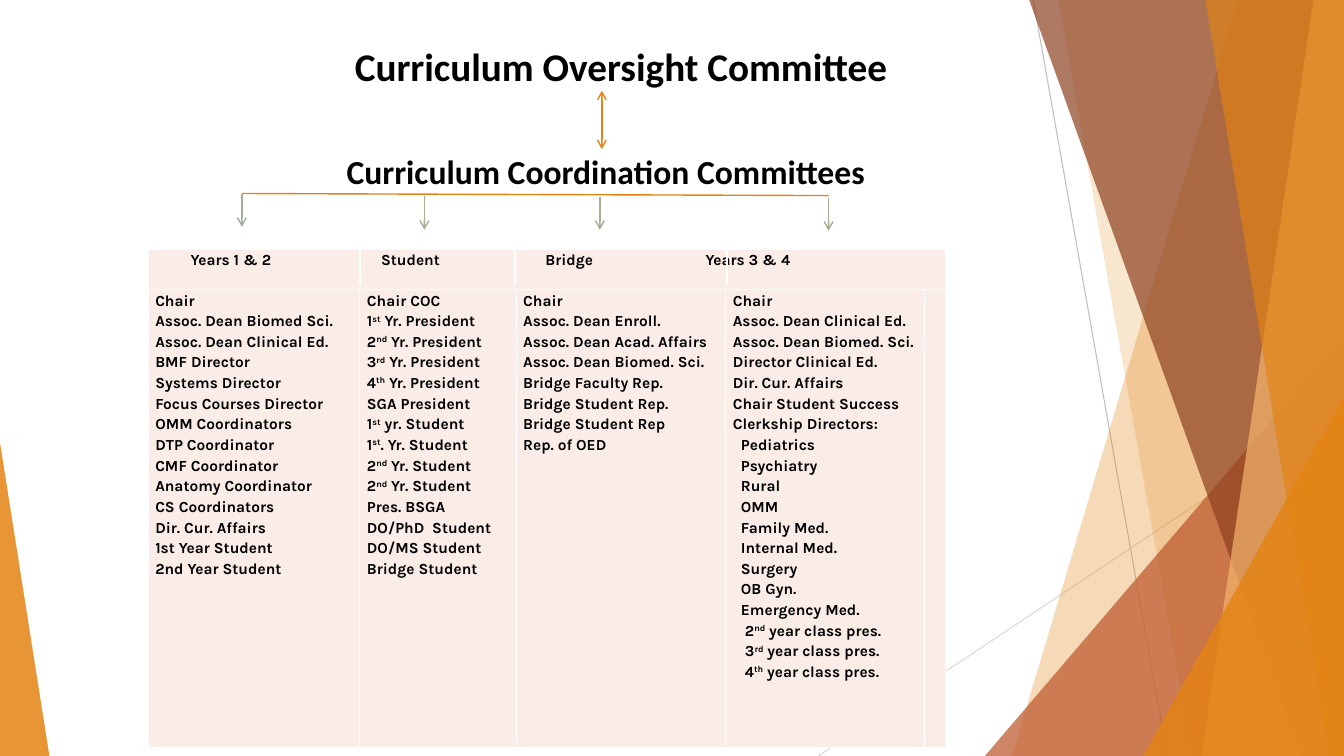
"""Build the curriculum committee slide; positions are percentages of the slide."""
from dataclasses import dataclass

from lxml import etree
from pptx import Presentation
from pptx.dml.color import RGBColor
from pptx.enum.shapes import MSO_CONNECTOR, MSO_SHAPE
from pptx.enum.text import MSO_ANCHOR, PP_ALIGN
from pptx.oxml.ns import qn
from pptx.util import Emu, Inches, Pt

STRAIGHT = MSO_CONNECTOR.STRAIGHT
TRIANGLE = MSO_SHAPE.ISOSCELES_TRIANGLE
MIDDLE = MSO_ANCHOR.MIDDLE
LEFT = PP_ALIGN.LEFT
WIDTH, HEIGHT = Inches(13.333), Inches(7.5)
COLORS = {
    "orange": "E48312", "rust": "BD582C", "brown": "8E4221", "peach": "F3B56C",
    "gray": "BFBFBF", "light_gray": "D9D9D9", "sage": "A2AF92",
    "cell": "FAEDE7", "white": "FFFFFF", "black": "000000",
}


@dataclass
class Band:
    top: float
    bottom: float
    color: str
    alpha: int


@dataclass
class Wedge:
    left: float
    top: float
    width: float
    apex: int
    color: str
    alpha: int


@dataclass
class Line:
    x1: float
    y1: float
    x2: float
    y2: float
    color: str
    weight: float = 1
    ends: tuple[str, ...] = ()


DECOR = [
    Line(76.88, 0, 86.85, 100, "gray", 0.75),
    Line(100, 53.73, 60.9, 100, "light_gray", 0.75),
    Band(92.1, 75.3, "orange", 30),
    Band(78.75, 88.73, "orange", 20),
    Wedge(73.28, 44.4, 26.72, 1, "rust", 72),
    Band(76.58, 96.83, "brown", 70),
    Band(97.73, 89.4, "peach", 70),
    Band(89.7, 98.85, "orange", 65),
    Wedge(85.05, 52.4, 14.95, 1, "orange", 80),
    Wedge(0, 58.53, 3.68, 0, "orange", 85),
]
LINES = [
    *(Line(x, 37.73, x, 32.27, "white") for x in (26.78, 38.33, 54.08)),
    Line(18, 25.6, 61.65, 25.87, "orange"),
    *(Line(x, bottom, x, top, "sage", ends=("headEnd",)) for x, bottom, top in (
        (18, 30, 25.6), (31.58, 30.4, 25.87), (44.63, 30.4, 26), (61.65, 30.53, 26.13))),
    Line(44.78, 12, 44.78, 19.73, "orange", ends=("headEnd", "tailEnd")),
]

TABLE_LEFT, TABLE_TOP = 11.03, 32.93
COLUMNS = [15.75, 11.63, 15.6, 14.78, 1.58]
ROWS = [5.33, 60.67]
HEADINGS = {"Years 1 & 2": 2.63, "Student": 16.8, "Bridge": 29.03, "Years 3 & 4": 40.95}
MEMBERS = [
    ["Chair", "Assoc. Dean Biomed Sci.", "Assoc. Dean Clinical Ed.", "BMF Director",
     "Systems Director", "Focus Courses Director", "OMM Coordinators", "DTP Coordinator",
     "CMF Coordinator", "Anatomy Coordinator", "CS Coordinators", "Dir. Cur. Affairs",
     "1st Year Student", "2nd Year Student"],
    ["Chair COC", "1^st^ Yr. President", "2^nd^ Yr. President", "3^rd^ Yr. President",
     "4^th^ Yr. President", "SGA President", "1^st^ yr. Student", "1^st^. Yr. Student",
     "2^nd^ Yr. Student", "2^nd^ Yr. Student", "Pres. BSGA", "DO/PhD  Student",
     "DO/MS Student", "Bridge Student"],
    ["Chair", "Assoc. Dean Enroll.", "Assoc. Dean Acad. Affairs", "Assoc. Dean Biomed. Sci.",
     "Bridge Faculty Rep.", "Bridge Student Rep.", "Bridge Student Rep", "Rep. of OED"],
    ["Chair", "Assoc. Dean Clinical Ed.", "Assoc. Dean Biomed. Sci.", "Director Clinical Ed.",
     "Dir. Cur. Affairs", "Chair Student Success", "Clerkship Directors:",
     ">Pediatrics", ">Psychiatry", ">Rural", ">OMM", ">Family Med.", ">Internal Med.",
     ">Surgery", ">OB Gyn.", ">Emergency Med.", ">>2^nd^ year class pres.",
     ">>3^rd^ year class pres.", ">>4^th^ year class pres."],
]
INDENTS = [0, 0.6, 0.9]


def across(share: float) -> Emu:
    return Emu(round(WIDTH * share / 100))


def down(share: float) -> Emu:
    return Emu(round(HEIGHT * share / 100))


def rgb(name: str) -> RGBColor:
    return RGBColor.from_string(COLORS[name])


def paint(sp, color: str, alpha: int) -> None:
    sp.shadow.inherit = False
    sp.fill.solid()
    sp.fill.fore_color.rgb = rgb(color)
    sp.line.fill.background()
    srgb = sp._element.spPr.find(qn("a:solidFill")).find(qn("a:srgbClr"))
    etree.SubElement(srgb, qn("a:alpha")).set("val", str(alpha * 1000))


def draw_band(shapes, band: Band) -> None:
    builder = shapes.build_freeform(across(band.top), 0)
    builder.add_line_segments(
        [(across(100), 0), (across(100), down(100)), (across(band.bottom), down(100))])
    paint(builder.convert_to_shape(), band.color, band.alpha)


def draw_wedge(shapes, wedge: Wedge) -> None:
    sp = shapes.add_shape(TRIANGLE, across(wedge.left), down(wedge.top),
                          across(wedge.width), down(100 - wedge.top))
    sp.adjustments[0] = wedge.apex
    paint(sp, wedge.color, wedge.alpha)


def draw_line(shapes, line: Line) -> None:
    cxn = shapes.add_connector(STRAIGHT, across(line.x1), down(line.y1),
                               across(line.x2), down(line.y2))
    cxn.line.color.rgb = rgb(line.color)
    cxn.line.width = Pt(line.weight)
    for end in line.ends:
        etree.SubElement(cxn.line._get_or_add_ln(), qn(f"a:{end}")).set("type", "arrow")
    etree.SubElement(cxn._element.spPr, qn("a:effectLst"))


def style_runs(p, font: str, size: float) -> None:
    for r in p.runs:
        r.font.name, r.font.size, r.font.bold = font, Pt(size), True
        r.font.color.rgb = rgb("black")


def set_heading(sp, text: str, size: float, box: tuple[float, float, float, float]) -> None:
    left, top, width, height = box
    sp.left, sp.top, sp.width, sp.height = across(left), down(top), across(width), down(height)
    tf = sp.text_frame
    tf.text = text
    tf.word_wrap = True
    tf.vertical_anchor = MIDDLE
    tf.paragraphs[0].alignment = LEFT
    style_runs(tf.paragraphs[0], "Calibri", size)


def style_cell(cell) -> None:
    cell.margin_left = cell.margin_right = Inches(0.07)
    cell.margin_top = cell.margin_bottom = 0
    cell.fill.solid()
    cell.fill.fore_color.rgb = rgb("cell")
    tcPr = cell._tc.get_or_add_tcPr()
    for i, side in enumerate(("lnL", "lnR", "lnT", "lnB")):
        ln = etree.Element(qn(f"a:{side}"), w=str(Pt(1)))
        fill = etree.SubElement(ln, qn("a:solidFill"))
        etree.SubElement(fill, qn("a:srgbClr")).set("val", COLORS["white"])
        tcPr.insert(i, ln)


def write_member(p, member: str) -> None:
    name = member.lstrip(">")
    p.line_spacing = 1.15
    p._p.get_or_add_pPr().set("marL", str(across(INDENTS[len(member) - len(name)])))
    for i, part in enumerate(name.split("^")):
        r = p.add_run()
        r.text = part
        if i % 2:
            r.font._element.set("baseline", "30000")
    style_runs(p, "Karla", 11)


def draw_table(shapes) -> None:
    tbl = shapes.add_table(len(ROWS), len(COLUMNS), across(TABLE_LEFT), down(TABLE_TOP),
                           across(sum(COLUMNS)), down(sum(ROWS))).table
    tbl.first_row = tbl.horz_banding = False
    for column, share in zip(tbl.columns, COLUMNS):
        column.width = across(share)
    for row, share in zip(tbl.rows, ROWS):
        row.height = down(share)
    for cell in tbl.iter_cells():
        style_cell(cell)
    tbl.cell(0, 0).merge(tbl.cell(0, len(COLUMNS) - 1))
    p = tbl.cell(0, 0).text_frame.paragraphs[0]
    p.text = "".join(f"\t{heading}" for heading in HEADINGS)
    p.line_spacing = 1.15
    style_runs(p, "Karla", 11)
    tabs = etree.SubElement(p._p.get_or_add_pPr(), qn("a:tabLst"))
    for share in HEADINGS.values():
        etree.SubElement(tabs, qn("a:tab"), pos=str(across(share)), algn="l")
    for i, members in enumerate(MEMBERS):
        tf = tbl.cell(1, i).text_frame
        for j, member in enumerate(members):
            write_member(tf.add_paragraph() if j else tf.paragraphs[0], member)


def main() -> None:
    prs = Presentation()
    prs.slide_width, prs.slide_height = WIDTH, HEIGHT
    shapes = prs.slides.add_slide(prs.slide_layouts[5]).shapes
    draw = {Band: draw_band, Wedge: draw_wedge, Line: draw_line}
    for item in DECOR:
        draw[type(item)](shapes, item)
    draw_table(shapes)
    set_heading(shapes.title, "Curriculum Oversight Committee", 28, (25.65, 4.67, 42.53, 8))
    set_heading(shapes.add_textbox(0, 0, 0, 0), "Curriculum Coordination Committees", 24,
                (25.05, 19.07, 40.28, 7.07))
    for line in LINES:
        draw_line(shapes, line)
    prs.save("out.pptx")


if __name__ == "__main__":
    main()
